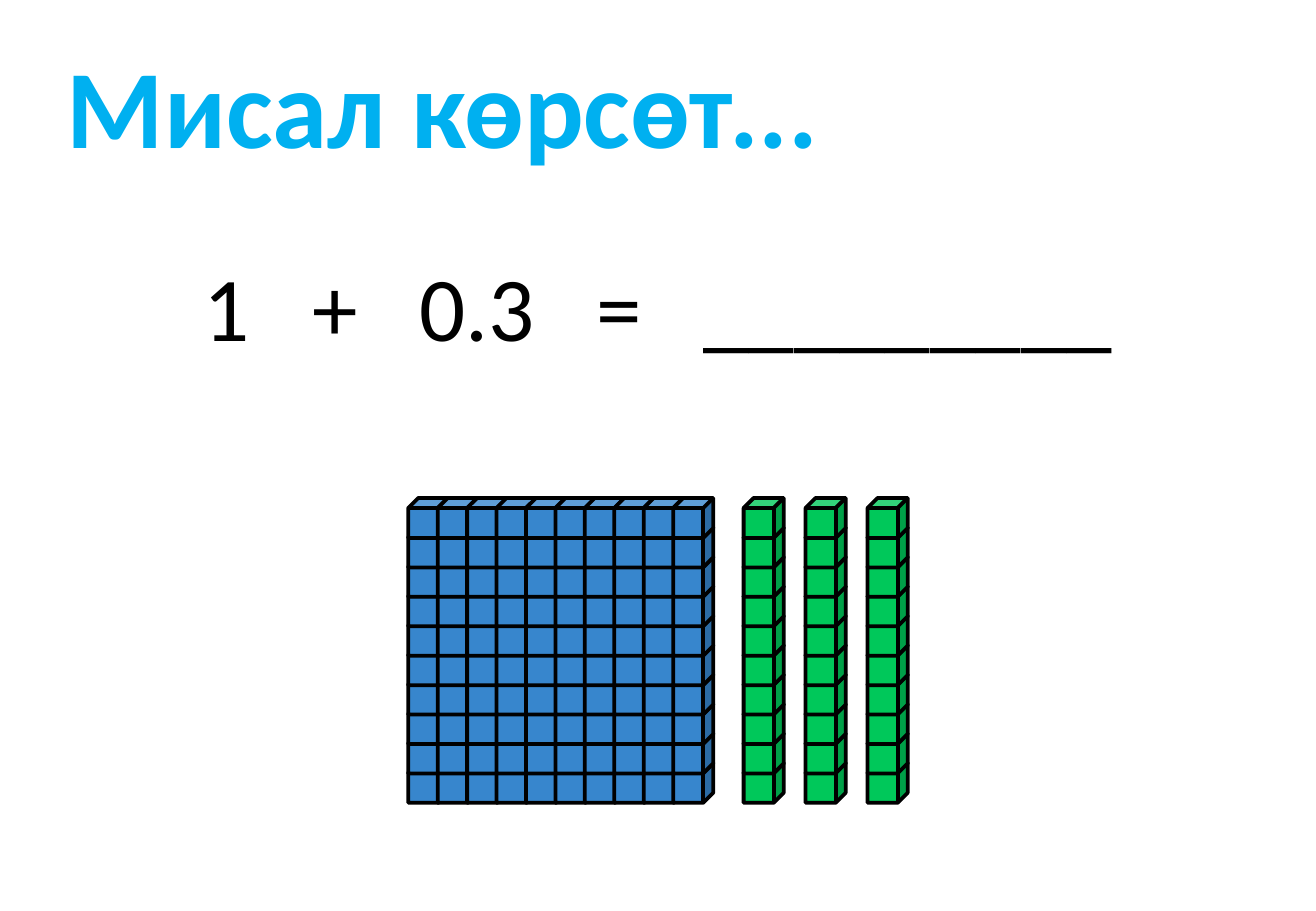
from dataclasses import dataclass

from lxml import etree
from pptx import Presentation
from pptx.dml.color import RGBColor
from pptx.enum.shapes import MSO_SHAPE
from pptx.enum.text import MSO_ANCHOR, MSO_AUTO_SIZE, PP_ALIGN
from pptx.oxml.ns import qn
from pptx.util import Inches, Pt

CUBE = MSO_SHAPE.CUBE
TOP = MSO_ANCHOR.TOP
NO_AUTOFIT = MSO_AUTO_SIZE.NONE
LEFT = PP_ALIGN.LEFT
TITLE_ONLY = 5


@dataclass(frozen=True)
class Theme:
    font: str = "Calibri"
    title_size: float = 66
    equation_size: float = 54
    outline_width: float = 2.25
    title: str = "00B0F0"
    ink: str = "000000"
    whole: str = "3786CD"
    tenth: str = "00C85A"


class SlideBuilder:
    def __init__(self, presentation, theme):
        self.theme = theme
        layout = presentation.slide_layouts[TITLE_ONLY]
        self.slide = presentation.slides.add_slide(layout)

    def add_line_of_text(self, shape, text, size, color, bold=False):
        """Fill a text shape with one left-aligned line."""
        frame = shape.text_frame
        frame.word_wrap = True
        frame.auto_size = NO_AUTOFIT
        frame.vertical_anchor = TOP
        paragraph = frame.paragraphs[0]
        paragraph.alignment = LEFT
        run = paragraph.add_run()
        run.text = text
        run.font.name = self.theme.font
        run.font.size = Pt(size)
        run.font.bold = bold
        run.font.color.rgb = RGBColor.from_string(color)
        return paragraph

    def title(self, text, left, top, width, height):
        shape = self.slide.shapes.title
        shape.left, shape.top = Inches(left), Inches(top)
        shape.width, shape.height = Inches(width), Inches(height)
        self.add_line_of_text(
            shape, text, self.theme.title_size, self.theme.title, bold=True)

    def equation(self, terms, tab_stops, left, top, width, height):
        """Place the terms of an equation on tab stops."""
        box = self.slide.shapes.add_textbox(
            Inches(left), Inches(top), Inches(width), Inches(height))
        paragraph = self.add_line_of_text(
            box, "\t".join(terms), self.theme.equation_size, self.theme.ink)
        properties = paragraph._p.get_or_add_pPr()
        tab_list = etree.SubElement(properties, qn("a:tabLst"))
        for position in tab_stops:
            etree.SubElement(
                tab_list, qn("a:tab"), pos=str(Inches(position)), algn="l")

    def cube(self, group, left, top, size, color):
        shape = group.shapes.add_shape(
            CUBE, Inches(left), Inches(top), Inches(size), Inches(size))
        shape.shadow.inherit = False
        shape.fill.solid()
        shape.fill.fore_color.rgb = RGBColor.from_string(color)
        shape.line.color.rgb = RGBColor.from_string(self.theme.ink)
        shape.line.width = Pt(self.theme.outline_width)

    def block(self, left, bottom_row, columns, rows, pitch, size, color):
        """Stack cubes from the bottom up, column by column."""
        group = self.slide.shapes.add_group_shape()
        for column in range(columns):
            for row in range(rows):
                self.cube(group, left + column * pitch,
                          bottom_row - row * pitch, size, color)


def main():
    presentation = Presentation()
    presentation.slide_width = Inches(10.83)
    presentation.slide_height = Inches(7.5)
    theme = Theme()
    builder = SlideBuilder(presentation, theme)

    # Heading and equation
    builder.title("Мисал көрсөт...", 0.45, 0.26, 7.33, 1.21)
    builder.equation(["1", "+", "0.3", "=", "_________"],
                     [0.89, 1.77, 3.23, 4.11], 1.58, 2.01, 7.75, 1.01)

    # Base-ten blocks: three tenths and one whole
    cube_size = 0.33
    cube_pitch = 2.18 / 9
    bottom_row = 6.28
    for rod in range(3):
        builder.block(6.12 + rod * 0.51, bottom_row, 1, 10,
                      cube_pitch, cube_size, theme.tenth)
    builder.block(3.36, bottom_row, 10, 10, cube_pitch, cube_size, theme.whole)

    presentation.save("out.pptx")


if __name__ == "__main__":
    main()
